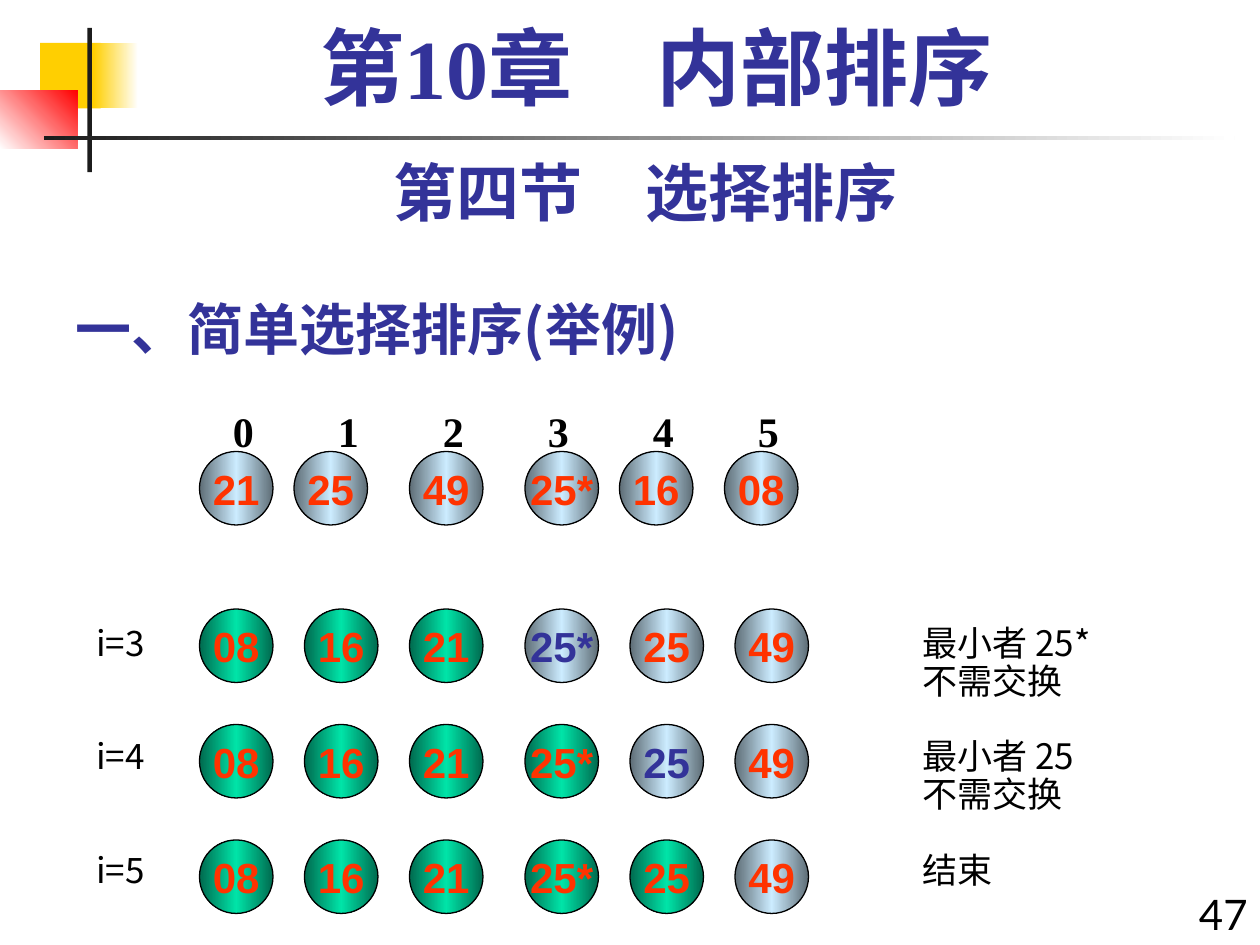
from lxml import etree
from pptx import Presentation
from pptx.dml.color import RGBColor
from pptx.enum.shapes import MSO_SHAPE
from pptx.enum.text import MSO_ANCHOR, PP_ALIGN
from pptx.oxml.ns import qn
from pptx.util import Pt

RECT, OVAL = MSO_SHAPE.RECTANGLE, MSO_SHAPE.OVAL
LEFT, CENTER, RIGHT = PP_ALIGN.LEFT, PP_ALIGN.CENTER, PP_ALIGN.RIGHT
TOP, MIDDLE, BOTTOM = MSO_ANCHOR.TOP, MSO_ANCHOR.MIDDLE, MSO_ANCHOR.BOTTOM
CJK = "Noto Sans CJK SC"
BLACK, NAVY, ORANGE = "000000", "333399", "FF3300"
GREY = ["5E6D76", "CCECFF", "5E6D76"]
GREEN = ["006A4E", "00E4A8", "006A4E"]
BALL = 42
START_X = [114, 168, 234, 300, 354, 414]
PASS_X = [114, 174, 234, 300, 360, 420]


def rgb(color):
    return RGBColor.from_string(color)


def set_fill(sp, colors, angle=0):
    if len(colors) == 1:
        sp.fill.solid()
        sp.fill.fore_color.rgb = rgb(colors[0])
        return
    sp.fill.gradient()
    sp.fill.gradient_angle = angle
    stops = sp.fill._fill._gradFill.find(qn("a:gsLst"))
    for stop in list(stops):
        stops.remove(stop)
    for i, color in enumerate(colors):
        stop = etree.SubElement(stops, qn("a:gs"), pos=str(100000 * i // (len(colors) - 1)))
        etree.SubElement(stop, qn("a:srgbClr"), val=color)


def set_font(p, size, font, color, bold):
    p.font.size = Pt(size)
    p.font.bold = bold
    p.font.color.rgb = rgb(color)
    p.font.name = font
    if font == CJK:
        etree.SubElement(p.font._element, qn("a:ea"), typeface=font)


def add_block(s, kind, x, y, w, h, colors, angle=0):
    sp = s.shapes.add_shape(kind, Pt(x), Pt(y), Pt(w), Pt(h))
    sp.shadow.inherit = False
    set_fill(sp, colors, angle)
    sp.line.fill.background()
    return sp


def add_ball(s, x, y, text, colors, color):
    sp = add_block(s, OVAL, x, y, BALL, BALL, colors)
    sp.line.color.rgb = rgb(BLACK)
    sp.line.width = Pt(0.75)
    tf = sp.text_frame
    tf.word_wrap = False
    tf.vertical_anchor = MIDDLE
    p = tf.paragraphs[0]
    p.text = text
    p.alignment = CENTER
    set_font(p, 24, "Arial", color, True)


def add_text(s, x, y, w, h, lines, size, font, color=BLACK, bold=False,
             align=LEFT, anchor=TOP, before=0, spacing=1.0, wrap=True):
    tf = s.shapes.add_textbox(Pt(x), Pt(y), Pt(w), Pt(h)).text_frame
    tf.word_wrap = wrap
    tf.vertical_anchor = anchor
    for i, line in enumerate(lines):
        p = tf.add_paragraph() if i else tf.paragraphs[0]
        p.text = line
        p.alignment = align
        p.space_before = Pt(before)
        p.line_spacing = spacing
        set_font(p, size, font, color, bold)
    return tf


def add_tabs(p, step, count):
    tabs = etree.Element(qn("a:tabLst"))
    for i in range(1, count + 1):
        etree.SubElement(tabs, qn("a:tab"), pos=str(Pt(step * i)), algn="l")
    p.font._element.addprevious(tabs)


def add_decoration(s):
    add_block(s, RECT, 23, 24.5, 34.5, 37.5, ["FFCF01"])
    add_block(s, RECT, 53.5, 24.5, 25.5, 37.5, ["FFCF01", "FFFFFF"])
    add_block(s, RECT, 0, 51.5, 44.25, 33.5, ["FFFFFF", "FF0000"], 45)
    add_block(s, RECT, 50, 16, 2.5, 82.5, ["1C1C1C"])
    add_block(s, RECT, 25, 77.75, 680.5, 2.5, ["1C1C1C", "FFFFFF"])


def add_passes(s):
    for x, value in zip(START_X, ["21", "25", "49", "25*", "16", "08"]):
        add_ball(s, x, 258, value, GREY, ORANGE)
    values = ["08", "16", "21", "25*", "25", "49"]
    for row, (done, current) in enumerate([(3, 3), (4, 4), (5, None)]):
        for i, (x, value) in enumerate(zip(PASS_X, values)):
            add_ball(s, x, 348 + 66 * row, value, GREEN if i < done else GREY,
                     NAVY if i == current else ORANGE)


def main():
    prs = Presentation()
    prs.slide_width, prs.slide_height = Pt(720), Pt(540)
    s = prs.slides.add_slide(prs.slide_layouts[6])
    add_decoration(s)
    add_text(s, 36, 156, 450, 54, ["一、简单选择排序(举例)"], 32, CJK, NAVY, True, anchor=BOTTOM)
    add_text(s, 672, 504, 48, 42.5, ["47"], 24, "Lato", align=RIGHT, before=15)
    add_text(s, 36, 84, 666, 50.5, ["第四节　选择排序"], 36, "Lato", NAVY, True, CENTER, before=22.5)
    add_text(s, 48, 12, 654, 60, ["第10章　内部排序"], 48, "Times New Roman", NAVY, True,
             CENTER, before=12, spacing=0.9)
    tf = add_text(s, 126, 228, 350, 36, ["\t".join("012345")], 24, "Times New Roman",
                  bold=True, wrap=False)
    add_tabs(tf.paragraphs[0], 60, 5)
    add_passes(s)
    notes = ["最小者 25*", "不需交换", "最小者 25", "不需交换", "结束"]
    tf = add_text(s, 520, 354, 120, 158, notes, 20, CJK, spacing=Pt(21.6), wrap=False)
    for i in (2, 4):
        tf.paragraphs[i].space_before = Pt(21.6)
    tf = add_text(s, 48, 354, 45, 158, ["i=3", "i=4", "i=5"], 20, CJK, spacing=Pt(21.6))
    for p in tf.paragraphs[1:]:
        p.space_before = Pt(43.2)
    prs.save("out.pptx")


if __name__ == "__main__":
    main()
